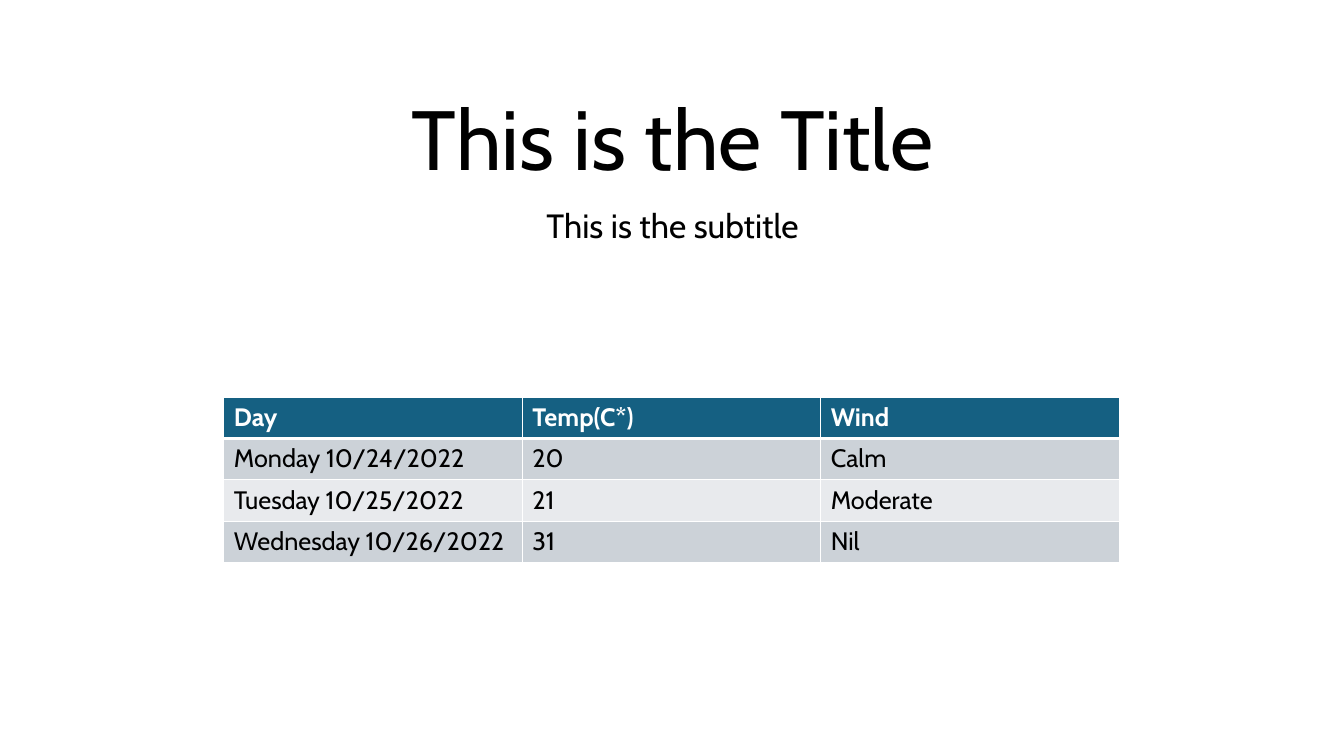
from dataclasses import dataclass

from lxml.etree import SubElement
from pptx import Presentation
from pptx.dml.color import RGBColor as Rgb
from pptx.enum.text import MSO_ANCHOR as Anchor, PP_ALIGN as Align
from pptx.oxml.ns import qn
from pptx.util import Inches, Pt


@dataclass(frozen=True)
class Theme:
    """Colours, font and type sizes of the slide."""
    font: str = "Cabin"
    ink: str = "000000"
    paper: str = "FFFFFF"
    header: str = "156082"
    bands: tuple = ("CCD2D8", "E8EAED")
    title_size: int = 60
    subtitle_size: int = 24
    table_size: int = 18
    rule: int = 1
    header_rule: int = 3


class SlideBuilder:
    """Places styled elements on one slide."""

    def __init__(self, slide, theme):
        self.slide = slide
        self.theme = theme

    def add_run(self, paragraph, wording, size, color, bold=False):
        """Append one styled run to a paragraph."""
        run = paragraph.add_run()
        run.text = wording
        run.font.name = self.theme.font
        run.font.size = Pt(size)
        run.font.bold = bold
        run.font.color.rgb = Rgb.from_string(color)

    def add_heading(self, wording, top, height, size, anchor, space_before=0):
        """Add a centred line of text across the slide."""
        box = self.slide.shapes.add_textbox(
            Inches(1.67), Inches(top), Inches(10), Inches(height))
        frame = box.text_frame
        frame.word_wrap = True
        frame.vertical_anchor = anchor
        paragraph = frame.paragraphs[0]
        paragraph.alignment = Align.CENTER
        paragraph.line_spacing = 0.9
        paragraph.space_before = Pt(space_before)
        self.add_run(paragraph, wording, size, self.theme.ink)

    def add_border(self, cell, side, width):
        """Draw one edge of a table cell."""
        properties = cell._tc.get_or_add_tcPr()
        edge = SubElement(properties, qn(f"a:ln{side}"), w=str(Pt(width)))
        fill = SubElement(edge, qn("a:solidFill"))
        SubElement(fill, qn("a:srgbClr"), val=self.theme.paper)

    def add_table(self, records, left, top, column_width, row_height):
        """Add a banded table whose first record is the header."""
        theme = self.theme
        rows, columns = len(records), len(records[0])
        table = self.slide.shapes.add_table(
            rows, columns, Inches(left), Inches(top),
            Inches(column_width * columns), Inches(row_height * rows)).table
        for column in table.columns:
            column.width = Inches(column_width)
        for r, record in enumerate(records):
            table.rows[r].height = Inches(row_height)
            is_header = r == 0
            background = theme.header if is_header else theme.bands[(r - 1) % 2]
            color = theme.paper if is_header else theme.ink
            widths = {"L": theme.rule, "R": theme.rule,
                      "T": theme.header_rule if r == 1 else theme.rule,
                      "B": theme.header_rule if is_header else theme.rule}
            for c, wording in enumerate(record):
                cell = table.cell(r, c)
                for side, width in widths.items():
                    self.add_border(cell, side, width)
                cell.fill.solid()
                cell.fill.fore_color.rgb = Rgb.from_string(background)
                self.add_run(cell.text_frame.paragraphs[0], wording,
                             theme.table_size, color, is_header)


def main():
    """Build and save the weather slide."""
    deck = Presentation()
    deck.slide_width, deck.slide_height = Inches(13.33), Inches(7.5)
    theme = Theme()
    builder = SlideBuilder(deck.slides.add_slide(deck.slide_layouts[6]), theme)
    builder.add_heading("This is the Title", -0.69, 2.61,
                        theme.title_size, Anchor.BOTTOM)
    builder.add_heading("This is the subtitle", 2.03, 1.81,
                        theme.subtitle_size, Anchor.TOP, space_before=10)
    weather = [
        ("Day", "Temp(C*)", "Wind"),
        ("Monday 10/24/2022", "20", "Calm"),
        ("Tuesday 10/25/2022", "21", "Moderate"),
        ("Wednesday 10/26/2022", "31", "Nil"),
    ]
    builder.add_table(weather, 2.22, 3.94, 2.96, 0.41)
    deck.save("out.pptx")


if __name__ == "__main__":
    main()
